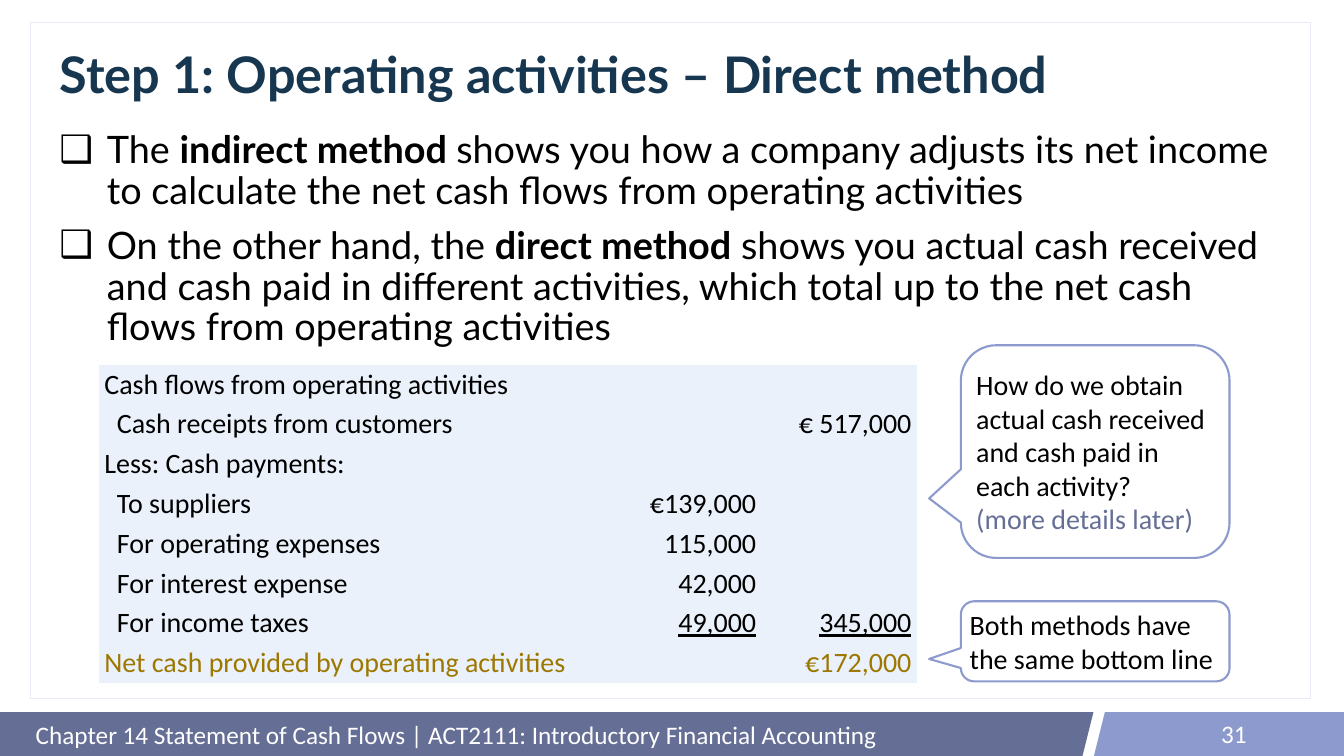
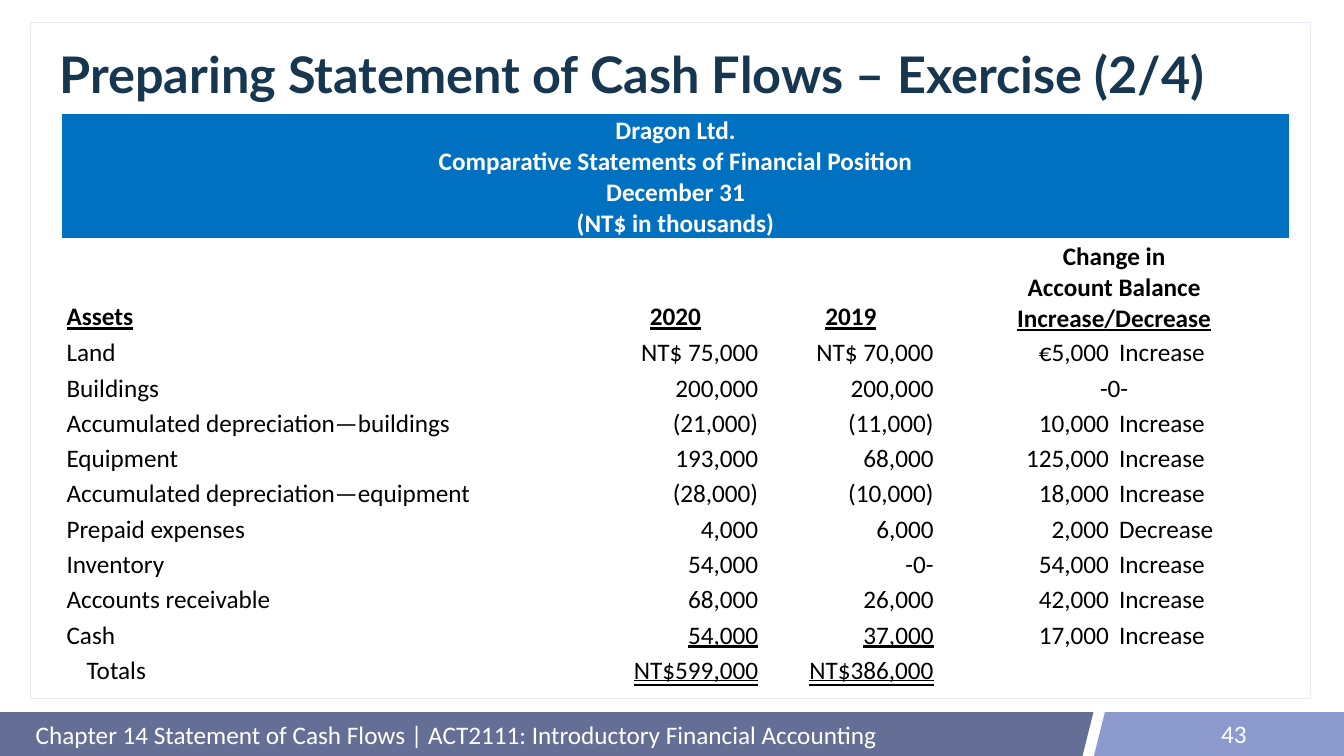
from lxml.etree import SubElement
from pptx import Presentation
from pptx.dml.color import RGBColor as Color
from pptx.enum.shapes import MSO_SHAPE as Shape
from pptx.enum.text import MSO_ANCHOR as Anchor, MSO_AUTO_SIZE as AutoSize
from pptx.enum.text import MSO_UNDERLINE as Underline, PP_ALIGN as Align
from pptx.oxml import parse_xml
from pptx.oxml.ns import nsdecls, qn
from pptx.util import Inches, Pt

COLORS = {
    "white": "FFFFFF", "black": "000000", "title": "17364F",
    "slate": "656E95", "lavender": "8D9ACE", "frame": "E8EBF5",
    "pale": "EAF1FA", "gold": "9D7801", "blue": "0070C0",
}
PLAIN_TABLE = "{2D5ABB26-0587-4C30-8999-92F81FD0307C}"
LEFT, CENTER, RIGHT = Align.LEFT, Align.CENTER, Align.RIGHT


def add_span(para, text, size, color="black", bold=False, underline=None, font="Calibri"):
    span = para.add_run()
    span.text = text
    span.font.name = font
    span.font.size = Pt(size)
    span.font.bold = bold
    span.font.underline = underline
    span.font.color.rgb = Color.from_string(COLORS[color])


def fill_cell(cell, lines, size, align=LEFT, indent=0, **style):
    for number, line in enumerate(lines):
        frame = cell.text_frame
        para = frame.add_paragraph() if number else frame.paragraphs[0]
        para.alignment = align
        if indent:
            para._p.get_or_add_pPr().set("marL", str(Inches(indent)))
        add_span(para, line, size, **style)


deck = Presentation()
deck.slide_width, deck.slide_height = Inches(26.66), Inches(15)
direct_page = deck.slides.add_slide(deck.slide_layouts[1])
exercise_page = deck.slides.add_slide(deck.slide_layouts[5])

# Shared band and content frame, placed on the master behind the text
master_tree = deck.slide_master.placeholders[0].element.getparent()
backdrop = [
    (Shape.RECTANGLE, 0, 14.13, 19.95, 0.87, "slate"),
    (Shape.PARALLELOGRAM, 17.39, 14.13, 4.3, 0.87, "slate"),
    (Shape.PARALLELOGRAM, 21.7, 14.13, 4.3, 0.87, "lavender"),
    (Shape.RECTANGLE, 22.37, 14.13, 4.29, 0.87, "lavender"),
    (Shape.RECTANGLE, 0.61, 0.44, 25.39, 13.41, "white"),
]
for position, (kind, left, top, width, height, color) in enumerate(backdrop, start=2):
    part = direct_page.shapes.add_shape(
        kind, Inches(left), Inches(top), Inches(width), Inches(height))
    part.shadow.inherit = False
    part.fill.solid()
    part.fill.fore_color.rgb = Color.from_string(COLORS[color])
    if color == "white":
        part.line.color.rgb = Color.from_string(COLORS["frame"])
        part.line.width = Pt(1)
        tint = part.element.spPr.find(qn("a:solidFill")).find(qn("a:srgbClr"))
        SubElement(tint, qn("a:alpha"), val="85000")
    else:
        part.line.fill.background()
    master_tree.insert(position, part.element)

# Titles, footers and page numbers
pages = [
    (direct_page, "Step 1: Operating activities – Direct method", "31"),
    (exercise_page, "Preparing Statement of Cash Flows – Exercise (2/4)", "43"),
]
footer = "Chapter 14 Statement of Cash Flows | ACT2111: Introductory Financial Accounting"
for page, heading, number in pages:
    title = page.shapes.title
    title.left, title.top = Inches(1.08), Inches(0.8)
    title.width, title.height = Inches(24.39), Inches(1.45)
    title.text_frame.auto_size = AutoSize.NONE
    title.text_frame.vertical_anchor = Anchor.MIDDLE
    para = title.text_frame.paragraphs[0]
    para.alignment = LEFT
    para.line_spacing = 0.9
    add_span(para, heading, 72, "title", bold=True, font="Lato")
    for text, left, width, height, align in [
        (footer, 0.61, 20.6, 0.85, LEFT),
        (number, 18.83, 6, 0.8, RIGHT),
    ]:
        box = page.shapes.add_textbox(
            Inches(left), Inches(14.15), Inches(width), Inches(height))
        box.text_frame.word_wrap = True
        box.text_frame.vertical_anchor = Anchor.MIDDLE
        para = box.text_frame.paragraphs[0]
        para.alignment = align
        add_span(para, text, 36, "white")

# Direct method: bullet list
body = direct_page.placeholders[1]
body.left, body.top = Inches(1.08), Inches(2.55)
body.width, body.height = Inches(24.39), Inches(10.97)
body.text_frame.auto_size = AutoSize.NONE
bullets = [
    [("The ", False), ("indirect method ", True),
     ("shows you how a company adjusts its net income to calculate "
      "the net cash flows from operating activities", False)],
    [("On the other hand, the ", False), ("direct method", True),
     (" shows you actual cash received and cash paid in different activities, "
      "which total up to the net cash flows from operating activities", False)],
]
for number, spans in enumerate(bullets):
    para = body.text_frame.add_paragraph() if number else body.text_frame.paragraphs[0]
    props = para._p.get_or_add_pPr()
    props.set("marL", str(Inches(0.94)))
    props.set("indent", str(-Inches(0.94)))
    SubElement(props, qn("a:buChar"), char="❑")
    para.line_spacing = 0.9
    para.space_before = Pt(20 if number else 0)
    for text, bold in spans:
        add_span(para, text, 54, bold=bold, font="Lato")

# Direct method: callouts
callouts = [
    (6.85, 4.22, [
        ("How do we obtain actual cash received and cash paid in each activity?", "black"),
        ("(more details later)", "slate")]),
    (11.93, 1.59, [("Both methods have the same bottom line", "black")]),
]
for top, height, lines in callouts:
    callout = direct_page.shapes.add_shape(
        Shape.ROUNDED_RECTANGULAR_CALLOUT,
        Inches(19.06), Inches(top), Inches(5.33), Inches(height))
    callout.adjustments[0] = -0.618
    callout.adjustments[1] = 0.22
    callout.shadow.inherit = False
    callout.fill.solid()
    callout.fill.fore_color.rgb = Color.from_string(COLORS["white"])
    callout.line.color.rgb = Color.from_string(COLORS["lavender"])
    callout.line.width = Pt(3)
    frame = callout.text_frame
    frame.word_wrap = True
    frame.vertical_anchor = Anchor.MIDDLE
    for number, (text, color) in enumerate(lines):
        para = frame.add_paragraph() if number else frame.paragraphs[0]
        para.alignment = LEFT
        add_span(para, text, 40, color)

# Both tables: plain style, column widths, row heights, cell fills
tables = []
for page, left, top, widths, heights, fill in [
    (direct_page, 1.97, 7.24, [10.05] + [3.08] * 2, [0.79] * 8, "pale"),
    (exercise_page, 1.22, 2.25, [10.44] + [3.48] * 4, [2.34, 1.78] + [0.65] * 10, "white"),
]:
    holder = page.shapes.add_table(
        len(heights), len(widths), Inches(left), Inches(top),
        Inches(sum(widths)), Inches(sum(heights)))
    table = holder.table
    table.first_row = table.horz_banding = False
    next(holder.element.iter(qn("a:tableStyleId"))).text = PLAIN_TABLE
    for column, width in zip(table.columns, widths):
        column.width = Inches(width)
    for row, height in zip(table.rows, heights):
        row.height = Inches(height)
    for cell in table.iter_cells():
        cell.fill.solid()
        cell.fill.fore_color.rgb = Color.from_string(COLORS[fill])
    tables.append(table)
cash_table, position_table = tables

# Direct method: cash flow rows (label, indent, payment, total)
cash_rows = [
    ("Cash flows from operating activities", 0, "", ""),
    ("Cash receipts from customers", 0.25, "", "€ 517,000"),
    ("Less: Cash payments:", 0, "", ""),
    ("To suppliers", 0.25, "€139,000", ""),
    ("For operating expenses", 0.25, "115,000", ""),
    ("For interest expense", 0.25, "42,000", ""),
    ("For income taxes", 0.25, "49,000", "345,000"),
    ("Net cash provided by operating activities", 0, "", "€172,000"),
]
for row, (label, indent, *amounts) in enumerate(cash_rows):
    color = "gold" if row == len(cash_rows) - 1 else "black"
    underline = Underline.SINGLE_LINE if label == "For income taxes" else None
    fill_cell(cash_table.cell(row, 0), [label], 40, indent=indent, color=color)
    for column, amount in enumerate(amounts, start=1):
        if amount:
            fill_cell(cash_table.cell(row, column), [amount], 40, RIGHT,
                      color=color, underline=underline)

# Exercise: heading rows
banner = position_table.cell(0, 0)
banner.merge(position_table.cell(0, 4))
banner.vertical_anchor = Anchor.MIDDLE
banner.fill.fore_color.rgb = Color.from_string(COLORS["blue"])
fill_cell(banner, ["Dragon Ltd.", "Comparative Statements of Financial Position",
                   "December 31", "(NT$ in thousands)"], 36, CENTER,
          color="white", bold=True)
for column, (text, align) in enumerate([("Assets", LEFT), ("2020", CENTER), ("2019", CENTER)]):
    cell = position_table.cell(1, column)
    cell.vertical_anchor = Anchor.BOTTOM
    fill_cell(cell, [text], 36, align, bold=True, underline=True)
change = position_table.cell(1, 3)
change.merge(position_table.cell(1, 4))
fill_cell(change, ["Change in", "Account Balance", "Increase/Decrease"], 36, CENTER, bold=True)
change.text_frame.paragraphs[2].runs[0].font.underline = True

# Exercise: account rows (label, 2020, 2019, change, direction)
account_rows = [
    ("Land", "NT$ 75,000", "NT$ 70,000", "€5,000", "Increase"),
    ("Buildings", "200,000", "200,000", "-0-", ""),
    ("Accumulated depreciation—buildings", "(21,000)", "(11,000)", "10,000", "Increase"),
    ("Equipment", "193,000", "68,000", "125,000", "Increase"),
    ("Accumulated depreciation—equipment", "(28,000)", "(10,000)", "18,000", "Increase"),
    ("Prepaid expenses", "4,000", "6,000", "2,000", "Decrease"),
    ("Inventory", "54,000", "-0-", "54,000", "Increase"),
    ("Accounts receivable", "68,000", "26,000", "42,000", "Increase"),
    ("Cash", "54,000", "37,000", "17,000", "Increase"),
    ("Totals", "NT$599,000", "NT$386,000", "", ""),
]
underlines = {"Cash": Underline.SINGLE_LINE, "Totals": Underline.DOUBLE_LINE}
for row, values in enumerate(account_rows, start=2):
    label = values[0]
    unchanged = values[3] == "-0-"
    if unchanged:
        position_table.cell(row, 3).merge(position_table.cell(row, 4))
    for column, text in enumerate(values):
        if not text:
            continue
        align = LEFT if column in (0, 4) else RIGHT
        if unchanged and column == 3:
            align = CENTER
        fill_cell(position_table.cell(row, column), [text], 36, align,
                  indent=0.4 if text == "Totals" else 0,
                  underline=underlines.get(label) if column in (1, 2) else None)

# Exercise: white cell borders, heavier below the banner
for row in range(len(position_table.rows)):
    for column in range(len(position_table.columns)):
        props = position_table.cell(row, column)._tc.get_or_add_tcPr()
        for place, side in enumerate("LRTB"):
            width = Pt(3 if row == 0 and side == "B" else 1)
            props.insert(place, parse_xml(
                f'<a:ln{side} {nsdecls("a")} w="{width}"><a:solidFill>'
                f'<a:srgbClr val="{COLORS["white"]}"/></a:solidFill></a:ln{side}>'))

deck.save("out.pptx")
